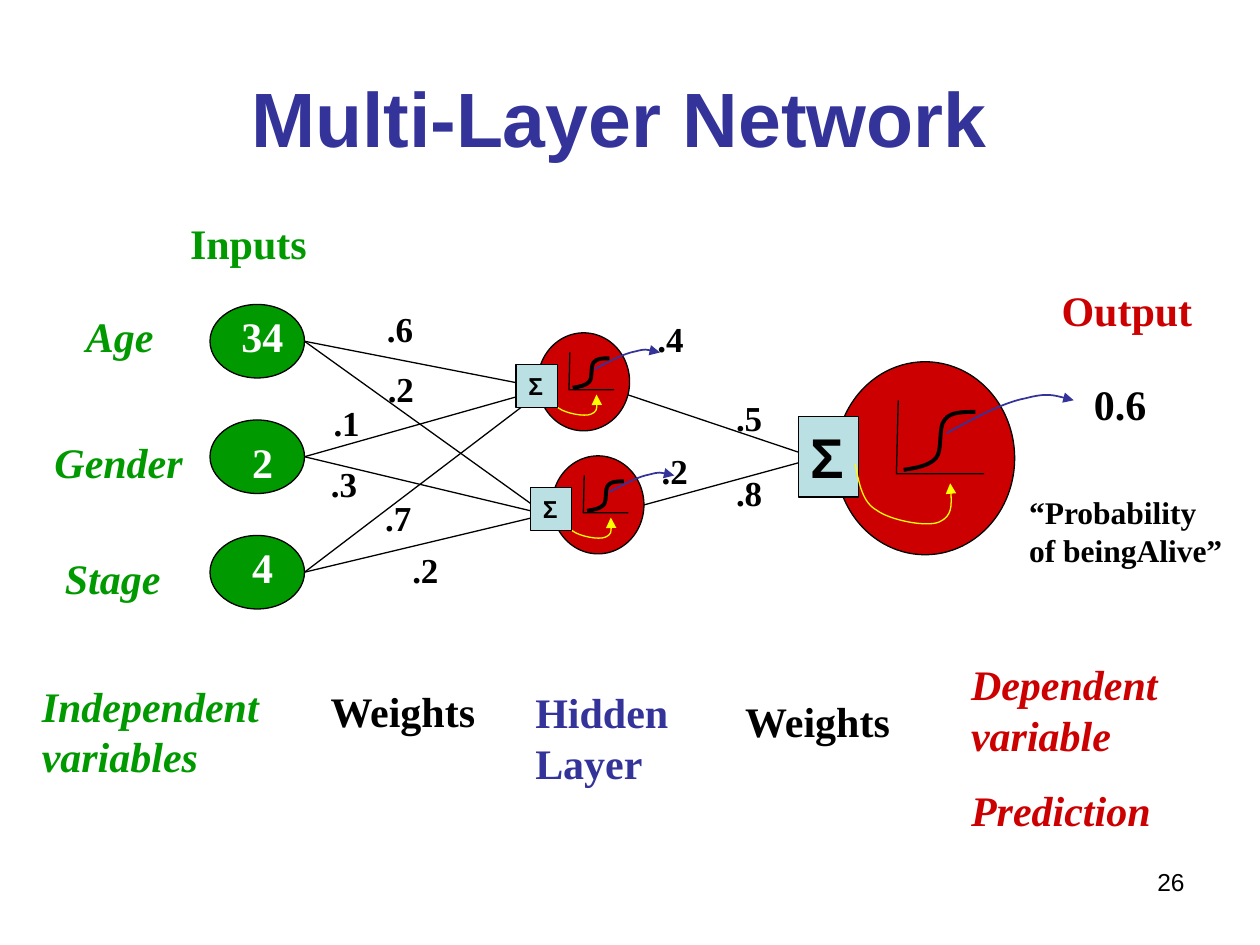
import itertools
from dataclasses import dataclass

import lxml.etree
import pptx
import pptx.dml.color
import pptx.enum.shapes
import pptx.enum.text
import pptx.oxml
import pptx.oxml.ns
import pptx.util

Pt = pptx.util.Pt
qn = pptx.oxml.ns.qn
SHAPE = pptx.enum.shapes.MSO_SHAPE
ALIGN = pptx.enum.text.PP_ALIGN
ANCHOR = pptx.enum.text.MSO_ANCHOR


@dataclass(frozen=True)
class Theme:
    black: str = "000000"
    white: str = "FFFFFF"
    green: str = "009900"
    red: str = "CC0000"
    blue: str = "333399"
    pale: str = "BBE0E3"
    yellow: str = "FFFF00"
    sans: str = "Arial"
    serif: str = "Times New Roman"
    title: int = 44
    label: int = 24
    weight: int = 20
    note: int = 18
    small: int = 14
    sigma: int = 32


@dataclass(frozen=True)
class Box:
    left: float
    top: float
    width: float
    height: float

    def inner(self, left, top, width, height):
        return Box(self.left + left, self.top + top, width, height)

    def point(self, across, down):
        return self.left + across * self.width, self.top + down * self.height

    def lengths(self):
        return Pt(self.left), Pt(self.top), Pt(self.width), Pt(self.height)


THEME = Theme()
SIGMOID = [(0.38, 0.56), (0.45, 0.55), (0.52, 0.54), (0.56, 0.5), (0.6, 0.46),
           (0.57, 0.34), (0.61, 0.3), (0.64, 0.26), (0.71, 0.26), (0.78, 0.26)]
AXES = [(0.35, 0.2), (0.34, 0.58), (0.83, 0.58)]
FEED = [(0.11, 0.53), (0.13, 0.63), (0.15, 0.73), (0.23, 0.77), (0.3, 0.82),
        (0.51, 0.86), (0.58, 0.83), (0.65, 0.8), (0.65, 0.72), (0.64, 0.63)]
RESULT = [(0.62, 0.37), (0.78, 0.29), (0.94, 0.21), (1.06, 0.19),
          (1.18, 0.16), (1.25, 0.18), (1.33, 0.2)]


def colour(value):
    return pptx.dml.color.RGBColor.from_string(value)


def style_font(font, size, value, name, bold=True, italic=False):
    font.size, font.name, font.bold, font.italic = Pt(size), name, bold, italic
    font.color.rgb = colour(value)


def add_text(page, box, text, value=THEME.black, size=THEME.label, name=THEME.serif,
             bold=True, italic=False, align=ALIGN.LEFT, wrap=True):
    frame = page.shapes.add_textbox(*box.lengths()).text_frame
    frame.word_wrap = wrap
    frame.text = text
    for index, para in enumerate(frame.paragraphs):
        para.alignment = align
        para.space_before = Pt(14.2 if index else 0)
        style_font(para.font, size, value, name, bold, italic)


def add_solid(page, kind, box, fill):
    shape = page.shapes.add_shape(kind, *box.lengths())
    shape.shadow.inherit = False
    shape.fill.solid()
    shape.fill.fore_color.rgb = colour(fill)
    shape.line.color.rgb = colour(THEME.black)
    shape.line.width = Pt(0.75)
    return shape


def add_link(page, start, end):
    link = page.shapes.add_connector(
        pptx.enum.shapes.MSO_CONNECTOR.STRAIGHT, *map(Pt, start + end))
    link.line.color.rgb = colour(THEME.black)
    link.line.width = Pt(0.75)
    lxml.etree.SubElement(link._element.spPr, qn("a:effectLst"))


def bend_segments(shape):
    segments = list(shape._element.iter(qn("a:lnTo")))
    for first in range(0, len(segments), 3):
        curve = lxml.etree.SubElement(segments[first].getparent(), qn("a:cubicBezTo"))
        for segment in segments[first:first + 3]:
            curve.append(segment[0])
            segment.getparent().remove(segment)


def add_outline(page, box, points, value, width, curved=True, arrow=False):
    spots = [tuple(map(Pt, box.point(*point))) for point in points]
    builder = page.shapes.build_freeform(*spots[0])
    builder.add_line_segments(spots[1:], close=False)
    shape = builder.convert_to_shape()
    shape.shadow.inherit = False
    shape.fill.background()
    shape.line.color.rgb = colour(value)
    shape.line.width = Pt(width)
    if curved:
        bend_segments(shape)
    if arrow:
        line = shape._element.spPr.find(qn("a:ln"))
        lxml.etree.SubElement(line, qn("a:tailEnd"), type="triangle")


def add_sigma(page, box, size):
    frame = add_solid(page, SHAPE.RECTANGLE, box, THEME.pale).text_frame
    frame.word_wrap = False
    frame.vertical_anchor = ANCHOR.TOP
    frame.text = "Σ"
    frame.paragraphs[0].alignment = ALIGN.LEFT
    style_font(frame.paragraphs[0].font, size, THEME.black, THEME.sans)


def add_neuron(page, box, sigma_box, sigma_size, sigma_in_front):
    add_solid(page, SHAPE.FLOWCHART_CONNECTOR, box, THEME.red)
    add_outline(page, box, SIGMOID, THEME.black, 2.25)
    add_outline(page, box, AXES, THEME.black, 0.75, curved=False)
    if not sigma_in_front:
        add_sigma(page, sigma_box, sigma_size)
    add_outline(page, box, FEED, THEME.yellow, 0.75, arrow=True)
    add_outline(page, box, RESULT, THEME.blue, 1, arrow=True)
    if sigma_in_front:
        add_sigma(page, sigma_box, sigma_size)


def add_title(page, box):
    title = page.shapes.title
    title.left, title.top, title.width, title.height = box.lengths()
    title.text_frame.text = "Multi-Layer Network "
    title.text_frame.vertical_anchor = ANCHOR.MIDDLE
    para = title.text_frame.paragraphs[0]
    para.alignment = ALIGN.CENTER
    style_font(para.font, THEME.title, THEME.blue, THEME.sans)


def add_links(page, box):
    sources = [(box.left, box.top + 66 * row) for row in range(3)]
    hidden = [(box.left + 138, box.top + 27 + 72 * row) for row in range(2)]
    for start, end in itertools.product(sources, hidden):
        add_link(page, start, end)
    for (left, top), arrival in zip(hidden, (64, 69)):
        add_link(page, (left + 36, top), (box.left + box.width, box.top + arrival))


def add_inputs(page, box):
    add_text(page, box.inner(77.5, 0, 90, 36), "Inputs", THEME.green)
    rows = [("Age", 18, 53, 60, "34", 53), ("Gender", 0, 125, 90, "2", 125),
            ("Stage", 6, 191, 90, "4", 185)]
    for row, (name, left, top, width, value, value_top) in enumerate(rows):
        add_solid(page, SHAPE.FLOWCHART_CONNECTOR,
                  box.inner(96, 53 + 66 * row, 54, 42), THEME.green)
        add_text(page, box.inner(left, top, width, 36), name, THEME.green, italic=True)
        add_text(page, box.inner(96, value_top, 60, 36), value, THEME.white,
                 align=ALIGN.CENTER)


def add_weights(page, box):
    weights = [(".6", 32, 0), (".2", 32.5, 34.5), (".1", 1.5, 54), (".3", 0, 88.5),
               (".7", 31, 108), (".2", 46.5, 138), (".5", 231.5, 51), (".8", 231.5, 94),
               (".4", 186.5, 6), (".2", 189, 81.5)]
    for text, left, top in weights:
        add_text(page, box.inner(left, top, 29.5, 31), text, size=THEME.weight, wrap=False)


def add_output(page, box):
    add_text(page, box.inner(18.5, 0, 120, 36), "Output", THEME.red)
    add_text(page, box.inner(37, 54, 78, 36), "0.6")
    add_text(page, box.inner(0, 119.3, 127.5, 50), "“Probability of beingAlive”",
             size=THEME.note)


def add_captions(page, box):
    captions = [("Independent variables", 0, 12.2, 150, THEME.green, True),
                ("Weights", 165, 15, 103, THEME.black, False),
                ("Hidden\vLayer", 282, 15.8, 103, THEME.blue, False),
                ("Weights", 402, 21, 103, THEME.black, False),
                ("Dependent variable\nPrediction", 531, 0, 126, THEME.red, True)]
    for text, left, top, width, value, italic in captions:
        add_text(page, box.inner(left, top, width, box.height - top), text, value,
                 italic=italic)


def main():
    deck = pptx.Presentation()
    deck.slide_width, deck.slide_height = Pt(720), Pt(540)
    page = deck.slides.add_slide(deck.slide_layouts[5])
    add_title(page, Box(36, 21.6, 648, 90))
    add_links(page, Box(174, 195, 284, 132))
    add_inputs(page, Box(24, 121, 156, 227))
    add_weights(page, Box(182, 172, 260, 169))
    add_neuron(page, Box(477.5, 206.7, 102.3, 110.3), Box(456.3, 238, 34.5, 46),
               THEME.sigma, False)
    for left, top in ((307.3, 190.2), (315.5, 260.5)):
        box = Box(left, top, 52.5, 56)
        add_neuron(page, box, box.inner(-12.4, 18.1, 23.7, 24.7), THEME.small, True)
    add_output(page, Box(581, 159, 139, 169))
    add_captions(page, Box(16.8, 373, 658, 108))
    add_text(page, Box(516, 492, 168, 37), "26", size=THEME.small, name=THEME.sans,
             bold=False, align=ALIGN.RIGHT)
    deck.save("out.pptx")


if __name__ == "__main__":
    main()
